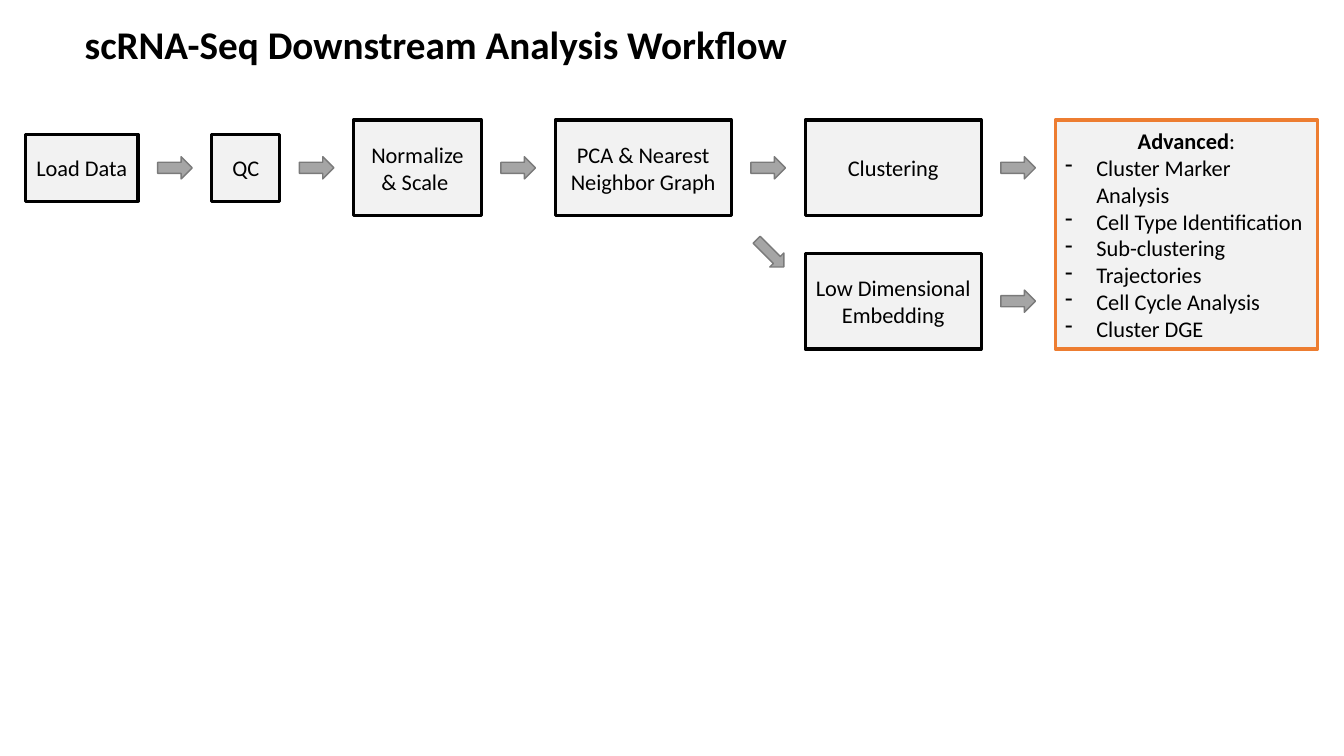
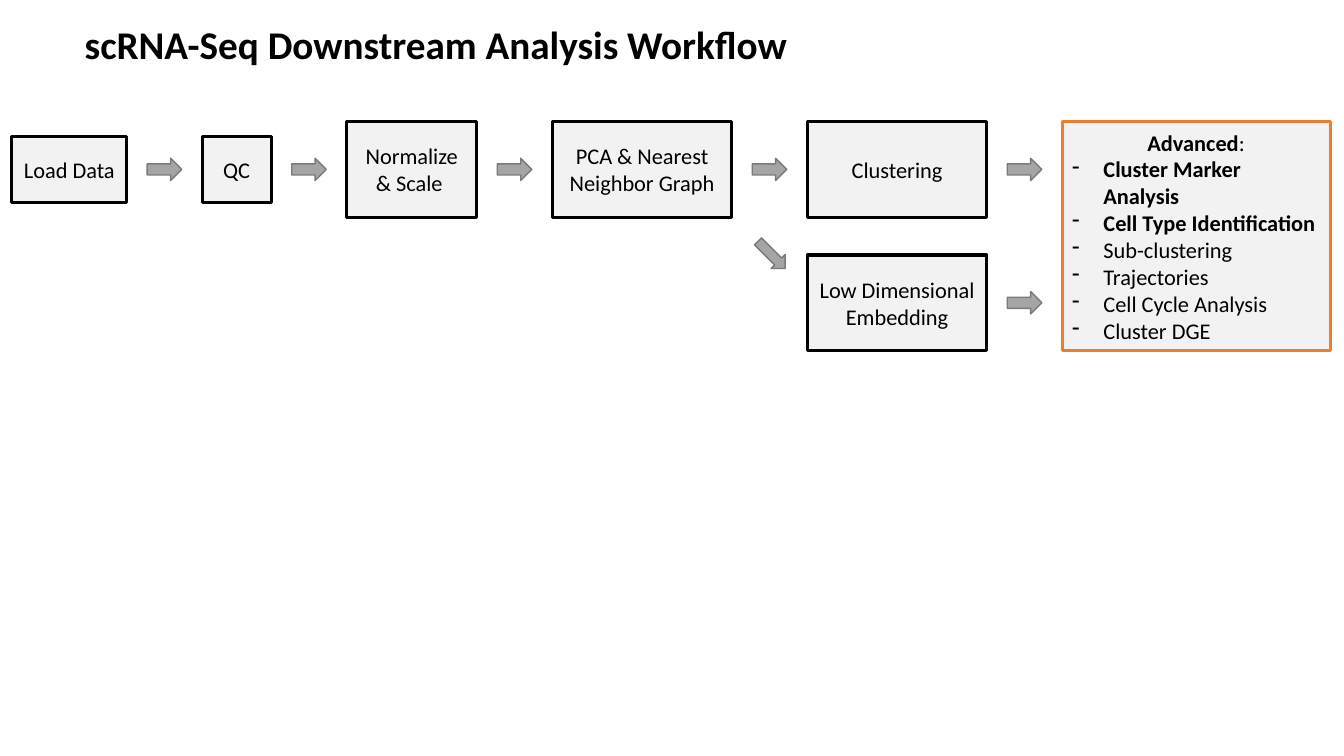
import pptx
import pptx.dml.color
import pptx.enum.shapes
import pptx.enum.text
import pptx.oxml.ns
import pptx.util
from lxml import etree

Cm = pptx.util.Cm
Pt = pptx.util.Pt
RGBColor = pptx.dml.color.RGBColor
PRESET = pptx.enum.shapes.MSO_SHAPE
ALIGN = pptx.enum.text.PP_ALIGN
ANCHOR = pptx.enum.text.MSO_ANCHOR

BLACK = RGBColor(0x00, 0x00, 0x00)
BOX_FILL = RGBColor(0xF2, 0xF2, 0xF2)
ORANGE = RGBColor(0xED, 0x7D, 0x31)
ARROW_FILL = RGBColor(0xA5, 0xA5, 0xA5)
ARROW_LINE = RGBColor(0x7A, 0x7A, 0x7A)
FONT = "Calibri"

TITLE = "scRNA-Seq Downstream Analysis Workflow"
TITLE_ONLY = 5

# Lengths in cm; widths and horizontal gaps are stretched per slide.
BOX_HEIGHT = 2.41
SMALL_HEIGHT = 1.68
ROW_PITCH = 3.36
STEP_GAP = 1.86
ARROW_WIDTH = 0.87
ARROW_HEIGHT = 0.56
ADVANCED_WIDTH = 6.62
STEPS = [
    ("Load Data", 2.84, SMALL_HEIGHT),
    ("QC", 1.71, SMALL_HEIGHT),
    ("Normalize & Scale ", 3.22, BOX_HEIGHT),
    ("PCA & Nearest Neighbor Graph", 4.44, BOX_HEIGHT),
    ("Clustering", 4.44, BOX_HEIGHT),
]
ADVANCED_TOPICS = [
    "Cluster Marker Analysis",
    "Cell Type Identification",
    "Sub-clustering",
    "Trajectories",
    "Cell Cycle Analysis",
    "Cluster DGE",
]


def write_text(paragraph, text, size=16, bold=False, align=ALIGN.CENTER):
    paragraph.alignment = align
    run = paragraph.add_run()
    run.text = text
    run.font.name = FONT
    run.font.size = Pt(size)
    run.font.bold = bold
    run.font.color.rgb = BLACK


def add_dash_bullet(paragraph):
    properties = paragraph._p.get_or_add_pPr()
    indent = Cm(0.79)
    properties.set("marL", str(indent))
    properties.set("indent", str(-indent))
    bullet = etree.SubElement(properties, pptx.oxml.ns.qn("a:buChar"))
    bullet.set("char", "-")


def add_centred_shape(slide, preset, left, middle, width, height,
                      fill, line, line_width):
    """Add a preset shape whose vertical centre lies at middle."""
    shape = slide.shapes.add_shape(
        preset, Cm(left), Cm(middle - height / 2), Cm(width), Cm(height))
    shape.shadow.inherit = False
    shape.fill.solid()
    shape.fill.fore_color.rgb = fill
    shape.line.color.rgb = line
    shape.line.width = Pt(line_width)
    return shape


def add_box(slide, left, middle, width, height, line=BLACK):
    box = add_centred_shape(slide, PRESET.RECTANGLE, left, middle,
                            width, height, BOX_FILL, line, 2.25)
    box.text_frame.word_wrap = True
    box.text_frame.vertical_anchor = ANCHOR.MIDDLE
    return box


def add_step(slide, text, left, middle, width, height):
    box = add_box(slide, left, middle, width, height)
    write_text(box.text_frame.paragraphs[0], text)


def add_arrow(slide, centre, middle, width=ARROW_WIDTH, height=ARROW_HEIGHT,
              rotation=0):
    arrow = add_centred_shape(slide, PRESET.RIGHT_ARROW, centre - width / 2,
                              middle, width, height,
                              ARROW_FILL, ARROW_LINE, 1)
    arrow.rotation = rotation


def add_advanced_box(slide, left, middle, width, highlighted):
    box = add_box(slide, left, middle, width, ROW_PITCH + BOX_HEIGHT, ORANGE)
    heading = box.text_frame.paragraphs[0]
    write_text(heading, "Advanced", bold=True)
    write_text(heading, ":")
    for topic in ADVANCED_TOPICS:
        paragraph = box.text_frame.add_paragraph()
        write_text(paragraph, topic, bold=topic in highlighted,
                   align=ALIGN.LEFT)
        add_dash_bullet(paragraph)


def add_title(slide):
    title = slide.shapes.title
    title.left, title.top = Cm(1.88), Cm(0.38)
    title.width, title.height = Cm(18.44), Cm(1.45)
    frame = title.text_frame
    frame.word_wrap = False
    frame.auto_size = pptx.enum.text.MSO_AUTO_SIZE.SHAPE_TO_FIT_TEXT
    frame.vertical_anchor = ANCHOR.TOP
    write_text(frame.paragraphs[0], TITLE, size=28, bold=True,
               align=ALIGN.LEFT)


def add_workflow_slide(deck, left, middle, stretch=1, highlighted=()):
    slide = deck.slides.add_slide(deck.slide_layouts[TITLE_ONLY])
    add_title(slide)

    gap = STEP_GAP * stretch
    lower_middle = middle + ROW_PITCH
    step_left = left
    arrow_centres = []
    for text, base_width, height in STEPS:
        width = base_width * stretch
        add_step(slide, text, step_left, middle, width, height)
        arrow_centres.append(step_left + width + gap / 2)
        add_arrow(slide, arrow_centres[-1], middle)
        step_left += width + gap

    embedding_left = arrow_centres[-2] + gap / 2
    add_step(slide, "Low Dimensional Embedding", embedding_left, lower_middle,
             width, BOX_HEIGHT)
    add_arrow(slide, arrow_centres[-2] + 0.05, lower_middle - BOX_HEIGHT / 2,
              width=0.97, height=0.5, rotation=45)
    add_arrow(slide, arrow_centres[-1], lower_middle)
    add_advanced_box(slide, step_left, middle + ROW_PITCH / 2,
                     ADVANCED_WIDTH * stretch, highlighted)


def main():
    deck = pptx.Presentation()
    deck.slide_width, deck.slide_height = Cm(33.87), Cm(19.05)
    add_workflow_slide(deck, left=0.64, middle=4.23)
    add_workflow_slide(deck, left=0.3, middle=4.27, stretch=1.02,
                       highlighted=ADVANCED_TOPICS[:2])
    deck.save("out.pptx")


if __name__ == "__main__":
    main()
